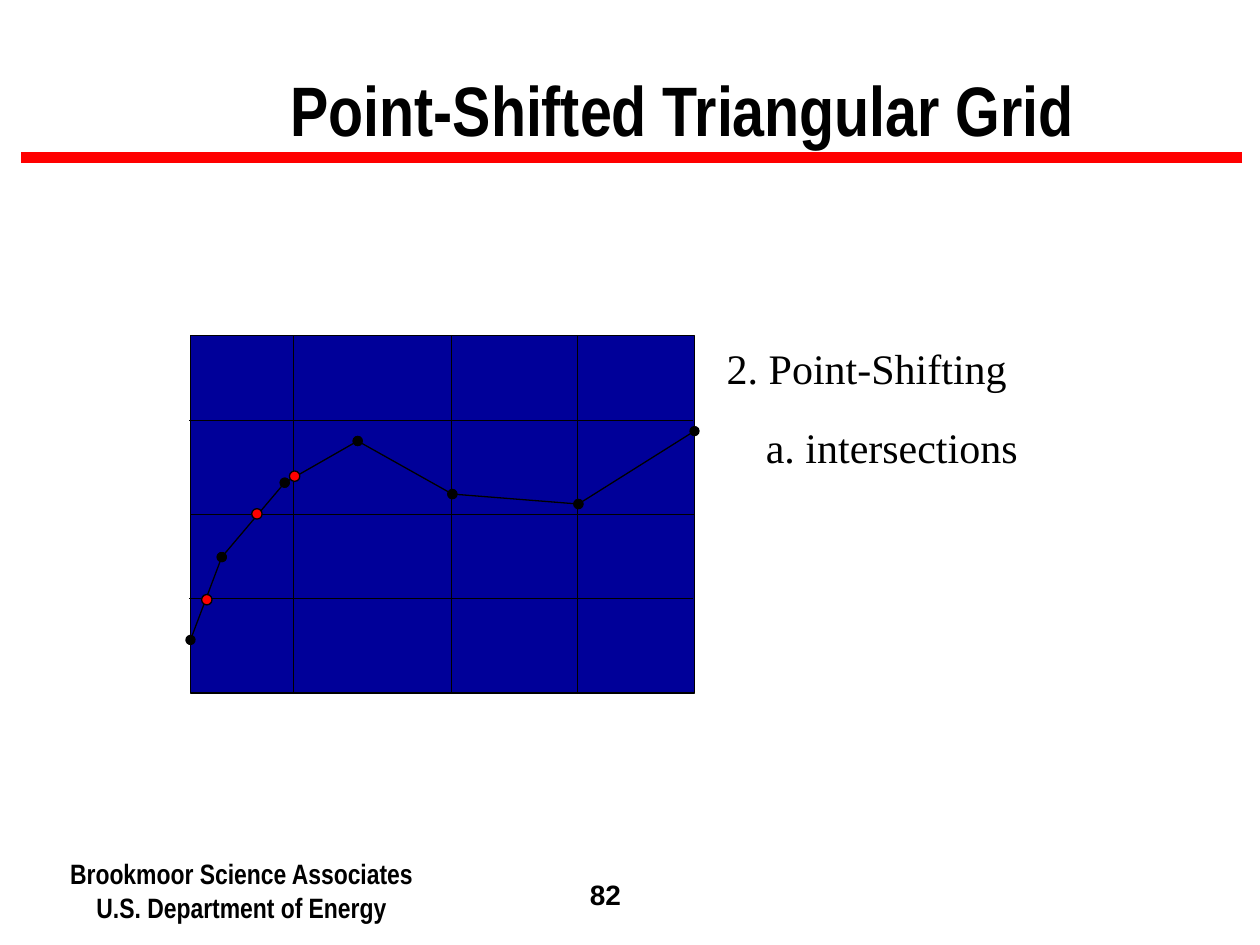
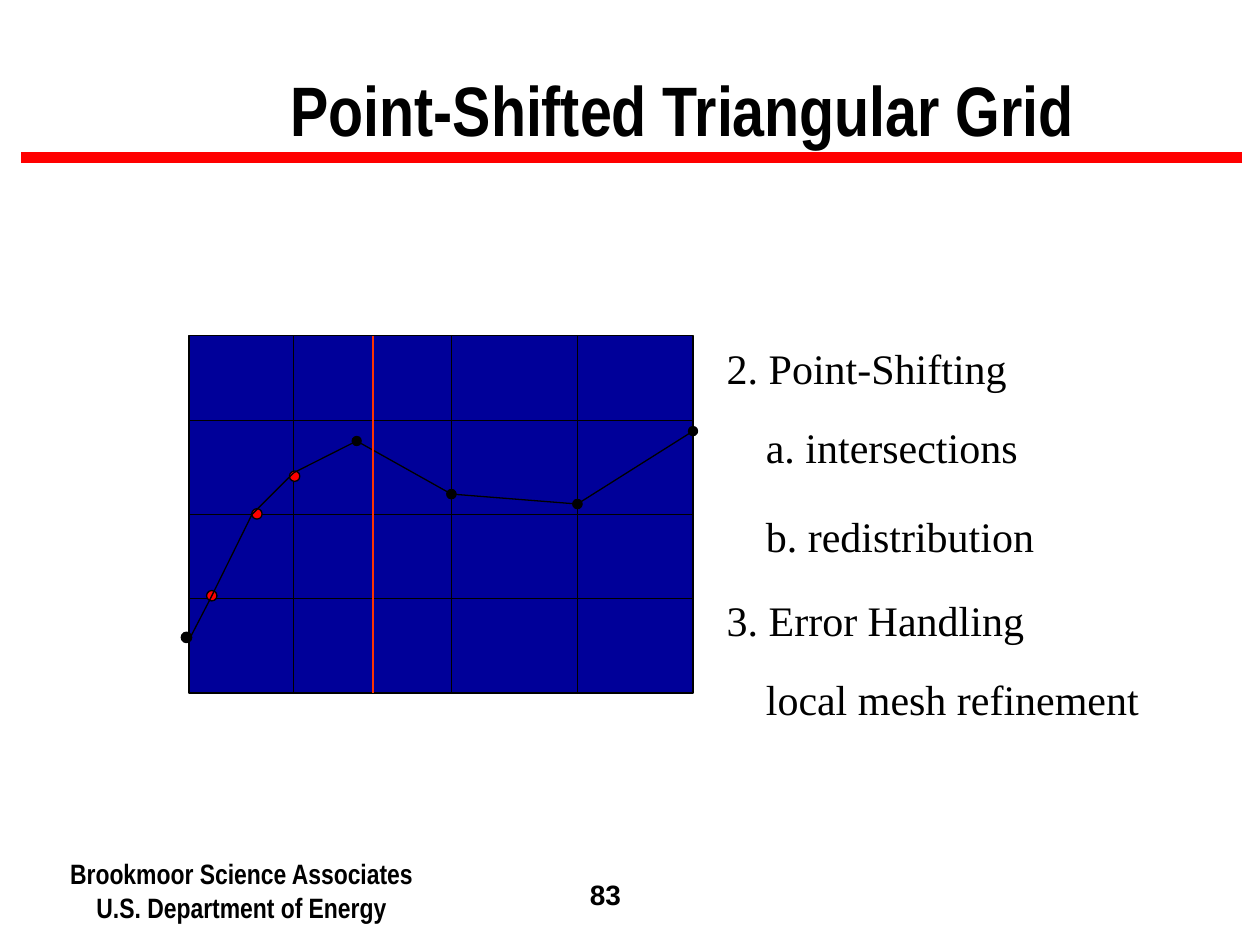
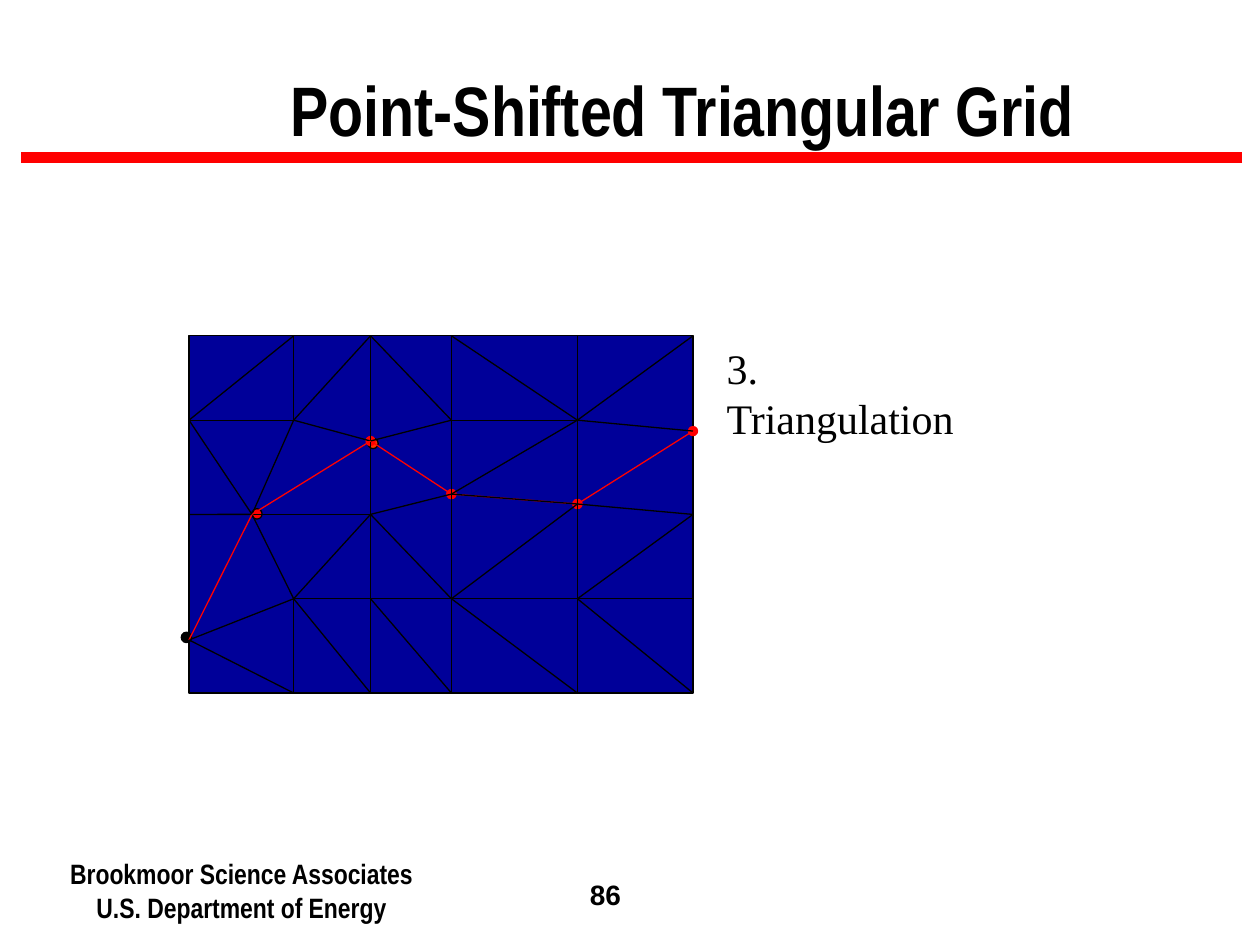
from dataclasses import dataclass
from itertools import pairwise, product

from lxml.etree import SubElement
from pptx import Presentation
from pptx.dml.color import RGBColor
from pptx.enum.shapes import MSO_CONNECTOR as Wire, MSO_SHAPE as Preset
from pptx.enum.text import MSO_ANCHOR as Anchor, PP_ALIGN as Align
from pptx.oxml.ns import qn
from pptx.shapes.autoshape import Shape
from pptx.slide import Slide
from pptx.util import Cm, Pt

BLACK = RGBColor(0x00, 0x00, 0x00)
WHITE = RGBColor(0xFF, 0xFF, 0xFF)
RED = RGBColor(0xFF, 0x00, 0x00)
ORANGE = RGBColor(0xFF, 0x33, 0x00)
NAVY = RGBColor(0x00, 0x00, 0x99)
SHADOW = RGBColor(0x80, 0x80, 0x80)

TITLE = "Point-Shifted Triangular Grid"
FOOTER = "Brookmoor Science Associates\vU.S. Department of Energy"

Point = tuple[float, float]
Mesh = dict[str, Point]

COLUMNS = {"a": 3.81, "b": 5.92, "c": 7.47, "d": 9.1, "e": 11.64, "f": 13.97}
ROWS = {"1": 6.77, "2": 8.47, "3": 10.37, "4": 12.07, "5": 13.97}
LEFT, RIGHT, TOP, BOTTOM = COLUMNS["a"], COLUMNS["f"], ROWS["1"], ROWS["5"]
REGULAR: Mesh = {c + r: (COLUMNS[c], ROWS[r]) for c, r in product(COLUMNS, ROWS)}
SHIFTED: Mesh = REGULAR | {
    "a4": (LEFT, 12.9),
    "b3": (5.08, 10.37),
    "c2": (7.47, 8.89),
    "d3": (9.1, 9.96),
    "e3": (11.64, 10.16),
    "f2": (RIGHT, 8.69),
}
SIDE_SITES = {REGULAR["a3"]: 1, REGULAR["f3"]: 3}

GRID_CHAINS = ["b1 b5", "d1 d5", "e1 e5", "a2 f2", "a3 f3", "a4 f4"]
ROW_CHAINS = [" ".join(c + r for c in COLUMNS) for r in "234"]
COLUMN_CHAINS = [" ".join(c + r for r in ROWS) for c in "bcde"]
DIAGONALS = [
    "a2 b1", "b2 c1 d2", "d1 e2 f1", "a2 b3", "d3 e2", "b4 c3 d4 e3",
    "e4 f3", "a4 b5", "b4 c5", "c4 d5", "d4 e5", "e4 f5",
]


@dataclass(frozen=True)
class Style:
    font: str
    size: int
    bold: bool = True
    align: Align = Align.LEFT


@dataclass(frozen=True)
class Caption:
    text: str
    left: float
    top: float
    width: float


@dataclass(frozen=True)
class Dot:
    x: float
    y: float
    color: RGBColor = RED


TITLE_STYLE = Style("Arial Narrow", 40, align=Align.CENTER)
FOOTER_STYLE = Style("Arial Narrow", 16, align=Align.CENTER)
NUMBER_STYLE = Style("Arial", 16)
CAPTION_STYLE = Style("Times New Roman", 24, bold=False)

SHIFTING = Caption("2. Point-Shifting", 14.4, 6.78, 6.15)
INTERSECTIONS = Caption("a. intersections", 15.19, 8.38, 5.59)
REDISTRIBUTION = Caption("b. redistribution", 15.19, 10.16, 5.92)
ERRORS = Caption("3. Error Handling", 14.4, 11.86, 6.5)
REFINEMENT = Caption("local mesh refinement", 15.19, 13.46, 8.03)
TRIANGULATION = Caption("3. Triangulation", 14.4, 6.78, 5.9)

ROW_CROSSING = Dot(5.18, 10.36)
COLUMN_CROSSING = Dot(5.94, 9.6)
START_DOT = Dot(3.76, 12.85, BLACK)


def add_text(page: Slide, text: str, left: float, top: float, width: float,
             height: float, style: Style, wrap: bool = True) -> Shape:
    box = page.shapes.add_textbox(Cm(left), Cm(top), Cm(width), Cm(height))
    box.text_frame.word_wrap = wrap
    box.text_frame.text = text
    para = box.text_frame.paragraphs[0]
    para.alignment = style.align
    for span in para.runs:
        span.font.name = style.font
        span.font.size = Pt(style.size)
        span.font.bold = style.bold
        span.font.color.rgb = BLACK
    return box


def add_title(page: Slide) -> None:
    box = add_text(page, TITLE, 3.18, 0, 21.16, 3.18, TITLE_STYLE)
    box.text_frame.vertical_anchor = Anchor.BOTTOM
    para = box.text_frame.paragraphs[0]
    para.line_spacing = 0.9
    properties = para.runs[0].font._element
    effects = properties.makeelement(qn("a:effectLst"))
    properties.find(qn("a:solidFill")).addnext(effects)
    shadow = SubElement(effects, qn("a:outerShdw"), dist="38100", dir="2700000")
    SubElement(shadow, qn("a:srgbClr"), val=str(SHADOW))


def add_shape(page: Slide, preset: Preset, left: float, top: float,
              width: float, height: float, fill: RGBColor) -> Shape:
    shape = page.shapes.add_shape(preset, Cm(left), Cm(top), Cm(width), Cm(height))
    shape.shadow.inherit = False
    shape.fill.solid()
    shape.fill.fore_color.rgb = fill
    shape.line.color.rgb = BLACK
    shape.line.width = Pt(0.75)
    return shape


def add_domain(page: Slide, left: float = LEFT) -> Shape:
    return add_shape(page, Preset.RECTANGLE, left, TOP, RIGHT - LEFT, BOTTOM - TOP, NAVY)


def add_dots(page: Slide, *dots: Dot) -> None:
    size = 0.21
    for dot in dots:
        add_shape(page, Preset.OVAL, dot.x - size / 2, dot.y - size / 2, size, size, dot.color)


def add_line(page: Slide, start: Point, end: Point, color: RGBColor = BLACK,
             width: float = 0.75, ovals: bool = False, domain: Shape | None = None) -> None:
    line = page.shapes.add_connector(Wire.STRAIGHT, *map(Cm, start + end))
    line.line.color.rgb = color
    line.line.width = Pt(width)
    properties = line._element.spPr
    if ovals:
        outline = properties.find(qn("a:ln"))
        for tag in ("a:headEnd", "a:tailEnd"):
            SubElement(outline, qn(tag), type="oval")
    SubElement(properties, qn("a:effectLst"))
    if domain and start in SIDE_SITES:
        line.begin_connect(domain, SIDE_SITES[start])
    if domain and end in SIDE_SITES:
        line.end_connect(domain, SIDE_SITES[end])


def add_path(page: Slide, points: list[Point], color: RGBColor = BLACK,
             ovals: bool = False, domain: Shape | None = None) -> None:
    for start, end in pairwise(points):
        add_line(page, start, end, color, ovals=ovals, domain=domain)


def add_chains(page: Slide, mesh: Mesh, chains: list[str], color: RGBColor = BLACK,
               ovals: bool = False, domain: Shape | None = None) -> None:
    for chain in chains:
        add_path(page, [mesh[name] for name in chain.split()], color, ovals, domain)


def add_page(deck: Presentation, number: int, *captions: Caption) -> Slide:
    page = deck.slides.add_slide(deck.slide_layouts[6])
    page.background.fill.solid()
    page.background.fill.fore_color.rgb = WHITE
    add_line(page, (25.04, 3.18), (0.43, 3.18), RED, width=6)
    add_text(page, FOOTER, 0.64, 17.15, 8.46, 1.62, FOOTER_STYLE)
    label = add_text(page, str(number), 11.64, 17.57, 1.48, 0.94, NUMBER_STYLE)
    label.text_frame.paragraphs[0].space_before = Pt(10)
    add_title(page)
    for caption in captions:
        add_text(page, caption.text, caption.left, caption.top, caption.width, 1.27,
                 CAPTION_STYLE, wrap=False)
    return page


def build_intersections(deck: Presentation) -> None:
    page = add_page(deck, 82, SHIFTING, INTERSECTIONS)
    domain = add_domain(page, left=3.84)
    interface = [(3.84, 12.9), (4.47, 11.23), (5.74, 9.73), (7.21, 8.89),
                 (9.12, 9.96), (11.66, 10.16), (14.0, 8.69)]
    add_path(page, interface, ovals=True)
    add_chains(page, REGULAR, GRID_CHAINS, domain=domain)
    add_dots(page, Dot(4.17, 12.09), ROW_CROSSING, COLUMN_CROSSING)


def build_redistribution(deck: Presentation) -> None:
    page = add_page(deck, 83, SHIFTING, INTERSECTIONS, REDISTRIBUTION, ERRORS, REFINEMENT)
    domain = add_domain(page)
    peak = (7.19, 8.89)
    add_path(page, [peak, SHIFTED["d3"], SHIFTED["e3"], SHIFTED["f2"]], ovals=True)
    add_chains(page, REGULAR, GRID_CHAINS, domain=domain)
    add_dots(page, Dot(4.27, 12.01), ROW_CROSSING, COLUMN_CROSSING)
    add_path(page, [peak, (5.92, 9.53), SHIFTED["b3"], (4.24, 12.07), SHIFTED["a4"]])
    add_dots(page, START_DOT)
    add_line(page, (7.52, TOP), (7.52, BOTTOM), ORANGE)


def build_triangulation(deck: Presentation) -> None:
    page = add_page(deck, 86, TRIANGULATION)
    domain = add_domain(page)
    add_chains(page, SHIFTED, ["d3 e3 f2"], RED, ovals=True)
    add_dots(page, ROW_CROSSING, START_DOT, Dot(7.52, 8.94, ORANGE))
    add_chains(page, SHIFTED, ["d3 c2"], RED, ovals=True)
    add_chains(page, SHIFTED, ROW_CHAINS + COLUMN_CHAINS, domain=domain)
    add_chains(page, SHIFTED, ["a4 b3 c2"], RED)
    add_chains(page, SHIFTED, DIAGONALS, domain=domain)


def main() -> None:
    deck = Presentation()
    deck.slide_width = Cm(25.4)
    deck.slide_height = Cm(19.05)
    build_intersections(deck)
    build_redistribution(deck)
    build_triangulation(deck)
    deck.save("out.pptx")


if __name__ == "__main__":
    main()
